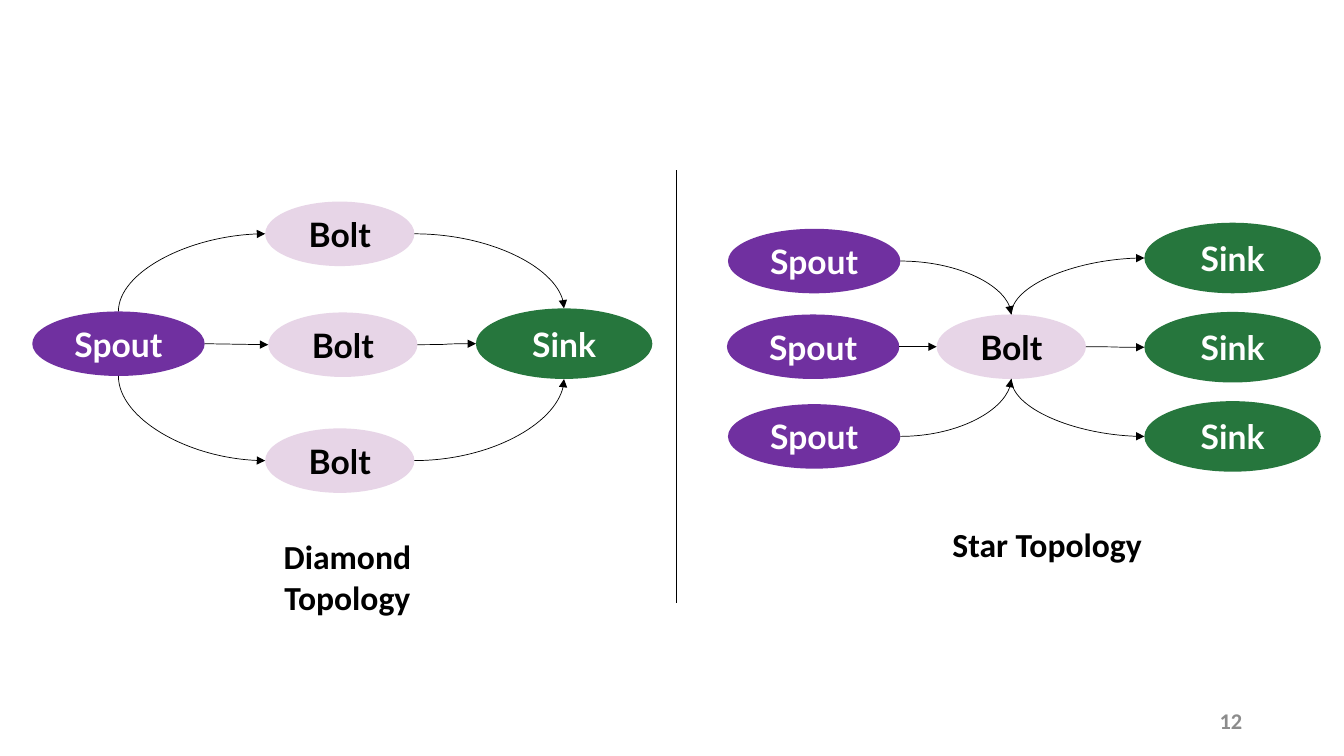
from dataclasses import dataclass

from lxml import etree
from pptx import Presentation
from pptx.dml.color import RGBColor
from pptx.enum.shapes import MSO_CONNECTOR as Line, MSO_SHAPE as Shape
from pptx.enum.text import MSO_ANCHOR as Anchor, PP_ALIGN as Align
from pptx.oxml.ns import qn
from pptx.util import Inches, Pt

BLACK, WHITE, GREY = "000000", "FFFFFF", "8C8C8C"


@dataclass(frozen=True)
class Role:
    label: str
    width: float
    height: float
    fill: str
    color: str


SPOUT = Role("Spout", 1.71, 0.64, "7030A0", WHITE)
BOLT = Role("Bolt", 1.48, 0.64, "E7D5E7", BLACK)
SINK = Role("Sink", 1.75, 0.7, "26763D", WHITE)


@dataclass(frozen=True)
class Node:
    role: Role
    left: float
    top: float

    def site(self, side: str) -> tuple[float, float]:
        """Return the middle of one side of the ellipse."""
        fx, fy = {"top": (0.5, 0), "left": (0, 0.5),
                  "bottom": (0.5, 1), "right": (1, 0.5)}[side]
        return self.left + fx * self.role.width, self.top + fy * self.role.height


@dataclass(frozen=True)
class Edge:
    source: Node
    source_side: str
    target: Node
    target_side: str
    kind: Line = Line.CURVE


def rgb(color: str) -> RGBColor:
    return RGBColor.from_string(color)


def add_run(p, text: str, size: int, font: str, color: str) -> None:
    r = p.add_run()
    r.text = text
    r.font.size, r.font.name, r.font.bold = Pt(size), font, True
    r.font.color.rgb = rgb(color)


def add_node(shapes, node: Node) -> None:
    role = node.role
    sp = shapes.add_shape(Shape.OVAL, Inches(node.left), Inches(node.top),
                          Inches(role.width), Inches(role.height))
    sp.shadow.inherit = False
    sp.fill.solid()
    sp.fill.fore_color.rgb = rgb(role.fill)
    sp.line.fill.background()
    tf = sp.text_frame
    tf.vertical_anchor = Anchor.MIDDLE
    p = tf.paragraphs[0]
    p.alignment = Align.CENTER
    add_run(p, role.label, 24, "Lato", role.color)


def add_line(shapes, kind: Line, x1: float, y1: float, x2: float, y2: float):
    cxn = shapes.add_connector(kind, Inches(x1), Inches(y1), Inches(x2), Inches(y2))
    cxn.line.color.rgb = rgb(BLACK)
    cxn.line.width = Pt(0.5)
    etree.SubElement(cxn._element.spPr, qn("a:effectLst"))
    return cxn


def add_edge(shapes, edge: Edge) -> None:
    """Draw an arrow; a quarter bend that starts vertically is a turned connector."""
    x1, y1 = edge.source.site(edge.source_side)
    x2, y2 = edge.target.site(edge.target_side)
    vertical_start = edge.source_side in ("top", "bottom")
    bend = vertical_start or edge.target_side in ("top", "bottom")
    upward = y2 < y1
    if vertical_start:
        cx, cy = (x1 + x2) / 2, (y1 + y2) / 2
        dx, dy = abs(y2 - y1) / 2, abs(x2 - x1) / 2 * (1 if upward else -1)
        x1, y1, x2, y2 = cx + dx, cy + dy, cx - dx, cy - dy
    cxn = add_line(shapes, edge.kind, x1, y1, x2, y2)
    sp_pr = cxn._element.spPr
    if bend:
        sp_pr.find(qn("a:prstGeom")).set("prst", "curvedConnector2")
    if vertical_start:
        sp_pr.find(qn("a:xfrm")).set("rot", str((90 if upward else 270) * 60000))
    etree.SubElement(sp_pr.find(qn("a:ln")), qn("a:tailEnd"), type="triangle")


def add_topology(s, nodes: list[Node], edges: list[Edge]) -> None:
    shapes = s.shapes.add_group_shape().shapes
    for node in nodes:
        add_node(shapes, node)
    for edge in edges:
        add_edge(shapes, edge)


def add_text(s, text: str, left: float, top: float, width: float, height: float,
             size: int = 24, color: str = BLACK, align: Align = Align.CENTER,
             anchor: Anchor = Anchor.TOP) -> None:
    tf = s.shapes.add_textbox(Inches(left), Inches(top),
                              Inches(width), Inches(height)).text_frame
    tf.word_wrap = True
    tf.vertical_anchor = anchor
    p = tf.paragraphs[0]
    p.alignment = align
    add_run(p, text, size, "Calibri", color)


def add_diamond(s) -> None:
    spout, sink = Node(SPOUT, 0.32, 3.09), Node(SINK, 4.72, 3.06)
    upper, middle, lower = bolts = [Node(BOLT, 2.63, 2), Node(BOLT, 2.66, 3.1),
                                    Node(BOLT, 2.63, 4.25)]
    add_topology(s, [sink, *bolts, spout], [
        Edge(spout, "top", upper, "left"),
        Edge(spout, "right", middle, "left", Line.STRAIGHT),
        Edge(spout, "bottom", lower, "left"),
        Edge(upper, "right", sink, "top"),
        Edge(middle, "right", sink, "left"),
        Edge(lower, "right", sink, "bottom"),
    ])
    add_text(s, "Diamond Topology", 2.35, 5.27, 2.19, 0.91)


def add_star(s) -> None:
    bolt = Node(BOLT, 9.29, 3.12)
    spouts = [Node(SPOUT, 7.22, 2.27), Node(SPOUT, 7.21, 3.12), Node(SPOUT, 7.22, 4.01)]
    sinks = [Node(SINK, 11.35, 2.21 + 0.885 * i) for i in range(3)]
    edges = [Edge(spout, "right", bolt, side)
             for spout, side in zip(spouts, ("top", "left", "bottom"))]
    edges += [Edge(bolt, side, sink, "left")
              for sink, side in zip(sinks, ("top", "right", "bottom"))]
    add_topology(s, [bolt, *spouts, *sinks], edges)
    add_text(s, "Star Topology", 9.29, 5.15, 2.19, 0.91)


def main() -> None:
    prs = Presentation()
    prs.slide_width, prs.slide_height = Inches(13.33), Inches(7.5)
    s = prs.slides.add_slide(prs.slide_layouts[6])
    add_text(s, "12", 9.42, 6.95, 3, 0.4, 16, GREY, Align.RIGHT, Anchor.MIDDLE)
    add_diamond(s)
    add_star(s)
    add_line(s.shapes, Line.STRAIGHT, 6.71, 5.98, 6.71, 1.69)
    prs.save("out.pptx")


if __name__ == "__main__":
    main()
